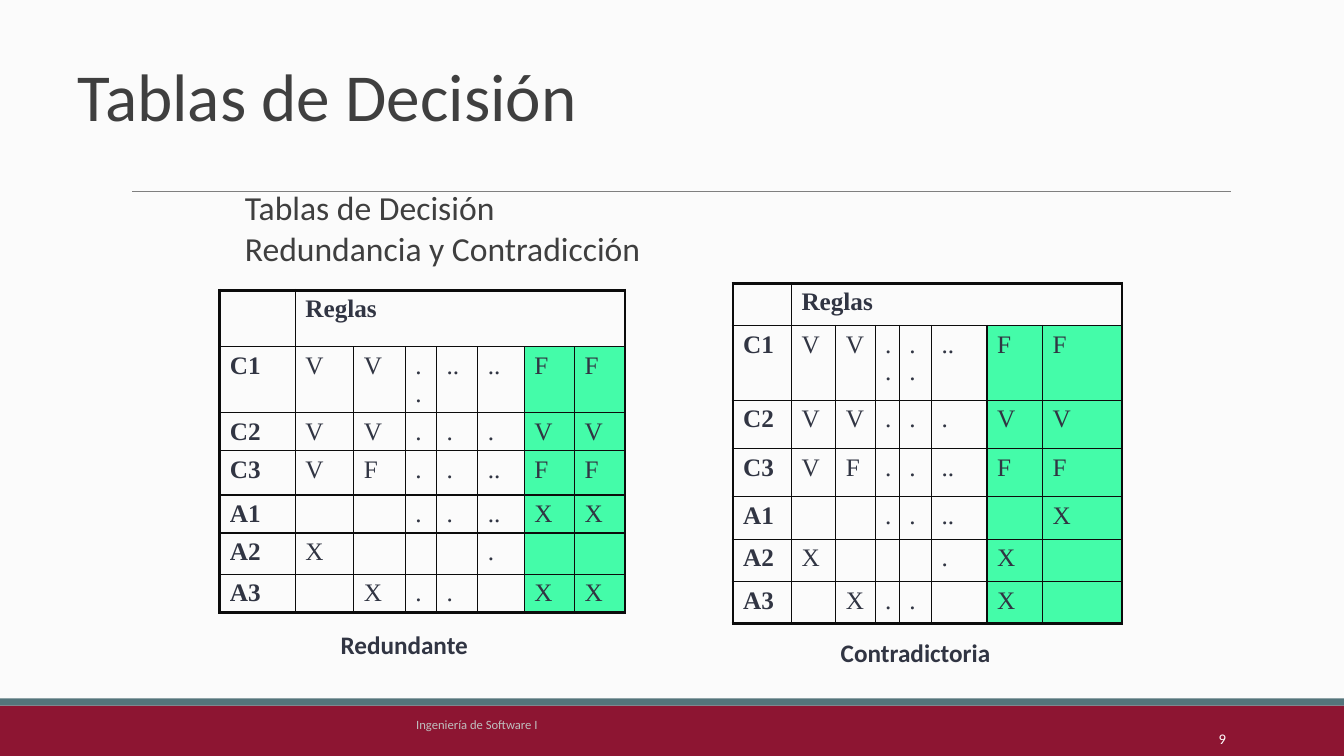
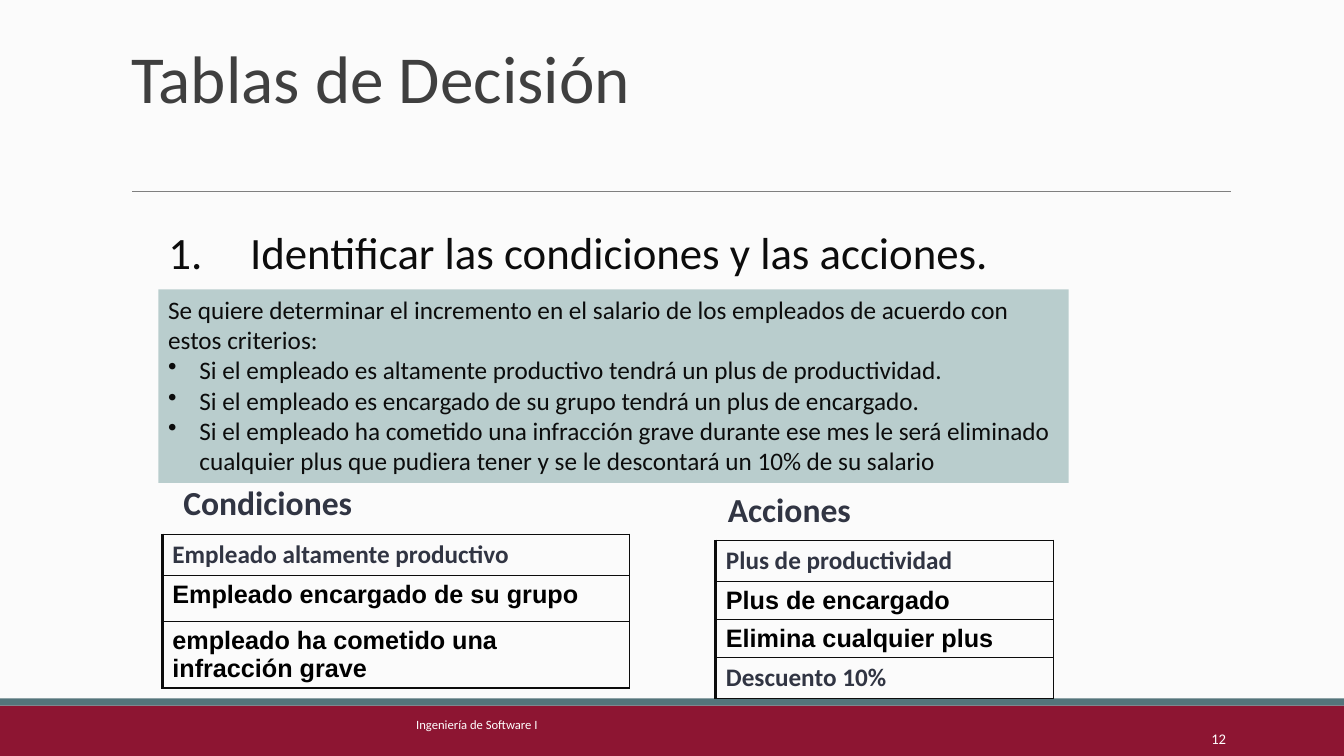
from dataclasses import dataclass

from lxml.etree import SubElement
from pptx import Presentation
from pptx.dml.color import RGBColor
from pptx.enum.shapes import MSO_CONNECTOR, MSO_SHAPE
from pptx.enum.text import MSO_ANCHOR, MSO_AUTO_SIZE, PP_ALIGN
from pptx.oxml.ns import qn
from pptx.util import Inches, Pt

PAPER = "FBFBFB"
CRIMSON = "8D1532"
TEAL = "54747B"
RULE_GRAY = "7F7F7F"
FOOTER_GRAY = "BFBFBF"
WHITE = "FFFFFF"
HEADING = "3F3F3F"
NAVY = "313543"
INK = "0C0C0C"
BLACK = "000000"
GREEN = "44FCA9"
PALE_TEAL = "B9CDCD"


@dataclass(frozen=True)
class Box:
    left: float
    top: float
    width: float
    height: float

    def lengths(self) -> list:
        return [Inches(value) for value in (self.left, self.top, self.width, self.height)]


@dataclass(frozen=True)
class Style:
    size: float
    color: str
    bold: bool = False
    name: str = "Calibri"


@dataclass(frozen=True)
class Caption:
    text: str
    box: Box
    style: Style


@dataclass(frozen=True)
class DecisionTable:
    left: float
    top: float
    columns: list[float]
    rows: list[float]
    rules: list[str]


@dataclass(frozen=True)
class ListTable:
    left: float
    top: float
    width: float
    row_height: list[float]
    entries: list[tuple[str, Style]]


TITLE_STYLE = Style(48, HEADING)
SUBTITLE_STYLE = Style(24, HEADING)
STEP_STYLE = Style(32, INK)
CRITERIA_STYLE = Style(18, INK)
LABEL_STYLE = Style(18, NAVY, True)
SECTION_STYLE = Style(24, NAVY, True)
ARIAL_STYLE = Style(18, BLACK, True, "Arial")
RULE_STYLE = Style(18, NAVY, False, "Times New Roman")
RULE_HEAD_STYLE = Style(18, NAVY, True, "Times New Roman")

DECISION_TABLES = [
    DecisionTable(
        7.27, 2.81,
        [0.58, 0.44, 0.39, 0.24, 0.32, 0.55, 0.55, 0.79],
        [0.42, 0.74, 0.48, 0.48, 0.42, 0.42, 0.42],
        ["C1|V|V|..|..|..|F|F", "C2|V|V|.|.|.|V|V", "C3|V|F|.|.|..|F|F",
         "A1|||.|.|..||X", "A2|X||||.|X|", "A3||X|.|.||X|"],
    ),
    DecisionTable(
        2.18, 2.88,
        [0.75, 0.58, 0.51, 0.31, 0.41, 0.46, 0.5, 0.5],
        [0.56, 0.64, 0.37, 0.44, 0.36, 0.41, 0.36],
        ["C1|V|V|..|..|..|F|F", "C2|V|V|.|.|.|V|V", "C3|V|F|.|.|..|F|F",
         "A1|||.|.|..|X|X", "A2|X||||.||", "A3||X|.|.||X|X"],
    ),
]
LIST_TABLES = [
    ListTable(1.61, 5.3, 4.63, [0.32, 0.46, 0.46], [
        ("Empleado altamente productivo", LABEL_STYLE),
        ("Empleado encargado de su grupo", ARIAL_STYLE),
        ("empleado ha cometido una infracción grave", ARIAL_STYLE),
    ]),
    ListTable(7.1, 5.36, 3.35, [0.37] * 4, [
        ("Plus de productividad", LABEL_STYLE),
        ("Plus de encargado", ARIAL_STYLE),
        ("Elimina cualquier plus", ARIAL_STYLE),
        ("Descuento 10%", LABEL_STYLE),
    ]),
]
TABLE_CAPTIONS = [
    Caption("Redundante", Box(3.28, 6.19, 1.53, 0.4), LABEL_STYLE),
    Caption("Contradictoria", Box(8.24, 6.27, 1.75, 0.4), LABEL_STYLE),
]
SECTION_CAPTIONS = [
    Caption("Condiciones", Box(1.72, 4.73, 1.9, 0.5), SECTION_STYLE),
    Caption("Acciones", Box(7.12, 4.8, 2.63, 0.5), SECTION_STYLE),
]
CRITERIA = [
    "Se quiere determinar el incremento en el salario de los empleados de acuerdo con estos criterios:",
    "Si el empleado es altamente productivo tendrá un plus de productividad.",
    "Si el empleado es encargado de su grupo tendrá un plus de encargado.",
    "Si el empleado ha cometido una infracción grave durante ese mes le será eliminado "
    "cualquier plus que pudiera tener y se le descontará un 10% de su salario",
]


def rgb(color: str) -> RGBColor:
    return RGBColor.from_string(color)


def write(paragraph, text: str, style: Style, align=PP_ALIGN.LEFT, spacing: float = 1.0,
          before: float = 0) -> None:
    paragraph.text = text
    paragraph.alignment = align
    paragraph.line_spacing = spacing
    paragraph.space_before = Pt(before)
    paragraph.font.size = Pt(style.size)
    paragraph.font.name = style.name
    paragraph.font.bold = style.bold
    paragraph.font.color.rgb = rgb(style.color)


def set_bullet(paragraph, indent: float, tag: str, **attributes: str) -> None:
    properties = paragraph._p.get_or_add_pPr()
    properties.set("marL", str(Inches(indent)))
    properties.set("indent", str(-Inches(indent)))
    bullet = SubElement(properties, qn(tag), attributes)
    defaults = properties.find(qn("a:defRPr"))
    if defaults is not None:
        defaults.addprevious(bullet)


def place(shape, box: Box) -> None:
    shape.left, shape.top, shape.width, shape.height = box.lengths()


def prepare_frame(shape, anchor=MSO_ANCHOR.TOP):
    frame = shape.text_frame
    frame.word_wrap = True
    frame.auto_size = MSO_AUTO_SIZE.NONE
    frame.vertical_anchor = anchor
    return frame


def add_caption(slide, caption: Caption, align=PP_ALIGN.LEFT, anchor=MSO_ANCHOR.TOP) -> None:
    shape = slide.shapes.add_textbox(*caption.box.lengths())
    write(prepare_frame(shape, anchor).paragraphs[0], caption.text, caption.style, align)


def add_rectangle(slide, box: Box, color: str):
    shape = slide.shapes.add_shape(MSO_SHAPE.RECTANGLE, *box.lengths())
    shape.shadow.inherit = False
    shape.fill.solid()
    shape.fill.fore_color.rgb = rgb(color)
    shape.line.fill.background()
    return shape


def move_bands_to_layout(slide, layout) -> None:
    rule = slide.shapes.add_connector(
        MSO_CONNECTOR.STRAIGHT, Inches(1.31), Inches(1.9), Inches(12.21), Inches(1.9))
    rule.line.color.rgb = rgb(RULE_GRAY)
    rule.line.width = Pt(0.75)
    SubElement(rule.element.find(qn("p:spPr")), qn("a:effectLst"))
    bands = [
        add_rectangle(slide, Box(0, 7, 13.33, 0.5), CRIMSON),
        add_rectangle(slide, Box(0, 6.93, 13.33, 0.07), TEAL),
        rule,
    ]
    for band in bands:
        layout.shapes.element.append(band.element)


def add_slide(presentation, title_box: Box, title_spacing: float, footer_color: str, number: str):
    slide = presentation.slides.add_slide(presentation.slide_layouts[1])
    title = slide.shapes.title
    place(title, title_box)
    write(prepare_frame(title).paragraphs[0], "Tablas de Decisión", TITLE_STYLE,
          spacing=title_spacing)
    add_caption(slide, Caption("Ingeniería de Software I", Box(4.03, 7.06, 5.27, 0.4),
                               Style(9, footer_color)))
    add_caption(slide, Caption(number, Box(10.83, 7.06, 1.43, 0.4), Style(10.5, WHITE)),
                PP_ALIGN.RIGHT, MSO_ANCHOR.BOTTOM)
    return slide


def set_borders(cell, thick_sides: str) -> None:
    properties = cell._tc.get_or_add_tcPr()
    for side in "LRTB":
        width = Pt(2.25 if side in thick_sides else 1)
        line = SubElement(properties, qn(f"a:ln{side}"), w=str(width))
        fill = SubElement(line, qn("a:solidFill"))
        SubElement(fill, qn("a:srgbClr"), val=INK)


def add_grid(slide, left: float, top: float, columns: list[float], rows: list[float]):
    box = Box(left, top, sum(columns), sum(rows))
    table = slide.shapes.add_table(len(rows), len(columns), *box.lengths()).table
    table.first_row = False
    table.horz_banding = False
    for column, width in zip(table.columns, columns):
        column.width = Inches(width)
    for row, height in zip(table.rows, rows):
        row.height = Inches(height)
    return table


def fill_cell(cell, text: str, style: Style, thick_sides: str, color: str = "") -> None:
    write(cell.text_frame.paragraphs[0], text, style)
    set_borders(cell, thick_sides)
    if color:
        cell.fill.solid()
        cell.fill.fore_color.rgb = rgb(color)
    else:
        cell.fill.background()


def add_decision_table(slide, decision: DecisionTable) -> None:
    table = add_grid(slide, decision.left, decision.top, decision.columns, decision.rows)
    last_row, last_column = len(decision.rows) - 1, len(decision.columns) - 1
    table.cell(0, 1).merge(table.cell(0, last_column))
    header = ["", "Reglas"] + [""] * (last_column - 1)
    for row, values in enumerate([header] + [rule.split("|") for rule in decision.rules]):
        for column, value in enumerate(values):
            cell = table.cell(row, column)
            edges = {
                "L": column == 0,
                "R": column + cell.span_width > last_column,
                "T": row == 0,
                "B": row == last_row,
            }
            thick_sides = "".join(side for side, outer in edges.items() if outer)
            style = RULE_HEAD_STYLE if row == 0 or column == 0 else RULE_STYLE
            color = GREEN if row > 0 and column >= last_column - 1 else ""
            fill_cell(cell, value, style, thick_sides, color)


def add_list_table(slide, listing: ListTable) -> None:
    table = add_grid(slide, listing.left, listing.top, [listing.width], listing.row_height)
    for row, (text, style) in enumerate(listing.entries):
        fill_cell(table.cell(row, 0), text, style, "L")


def build_redundancy_slide(presentation):
    slide = add_slide(presentation, Box(0.67, 0.61, 11.29, 1.25), 0.85, FOOTER_GRAY, "9")
    body = slide.placeholders[1]
    place(body, Box(2.33, 1.87, 11, 4.4))
    frame = prepare_frame(body)
    first, second = frame.paragraphs[0], frame.add_paragraph()
    second.level = 1
    write(first, "Tablas de Decisión", SUBTITLE_STYLE, spacing=0.85)
    write(second, "Redundancia y Contradicción", SUBTITLE_STYLE, spacing=0.85, before=4.5)
    set_bullet(first, 0.07, "a:buNone")
    set_bullet(second, 0.28, "a:buNone")
    for decision in DECISION_TABLES:
        add_decision_table(slide, decision)
    for caption in TABLE_CAPTIONS:
        add_caption(slide, caption)
    return slide


def build_conditions_slide(presentation) -> None:
    slide = add_slide(presentation, Box(1.2, 0.31, 11, 1.59), 1.0, WHITE, "12")
    body = slide.placeholders[1]
    place(body, Box(1.57, 2.18, 11.67, 0.91))
    step = prepare_frame(body).paragraphs[0]
    step.level = 1
    write(step, "Identificar las condiciones y las acciones.", STEP_STYLE)
    set_bullet(step, 0.81, "a:buAutoNum", type="arabicPeriod")
    frame = prepare_frame(add_rectangle(slide, Box(1.57, 2.87, 9.03, 1.92), PALE_TEAL))
    for index, text in enumerate(CRITERIA):
        paragraph = frame.add_paragraph() if index else frame.paragraphs[0]
        write(paragraph, text, CRITERIA_STYLE)
        if index:
            set_bullet(paragraph, 0.31, "a:buChar", char="•")
    for caption in SECTION_CAPTIONS:
        add_caption(slide, caption)
    for listing in LIST_TABLES:
        add_list_table(slide, listing)


def main() -> None:
    presentation = Presentation()
    presentation.slide_width, presentation.slide_height = Inches(13.33), Inches(7.5)
    background = presentation.slide_master.background.fill
    background.solid()
    background.fore_color.rgb = rgb(PAPER)
    first_slide = build_redundancy_slide(presentation)
    move_bands_to_layout(first_slide, first_slide.slide_layout)
    build_conditions_slide(presentation)
    presentation.save("out.pptx")


if __name__ == "__main__":
    main()
